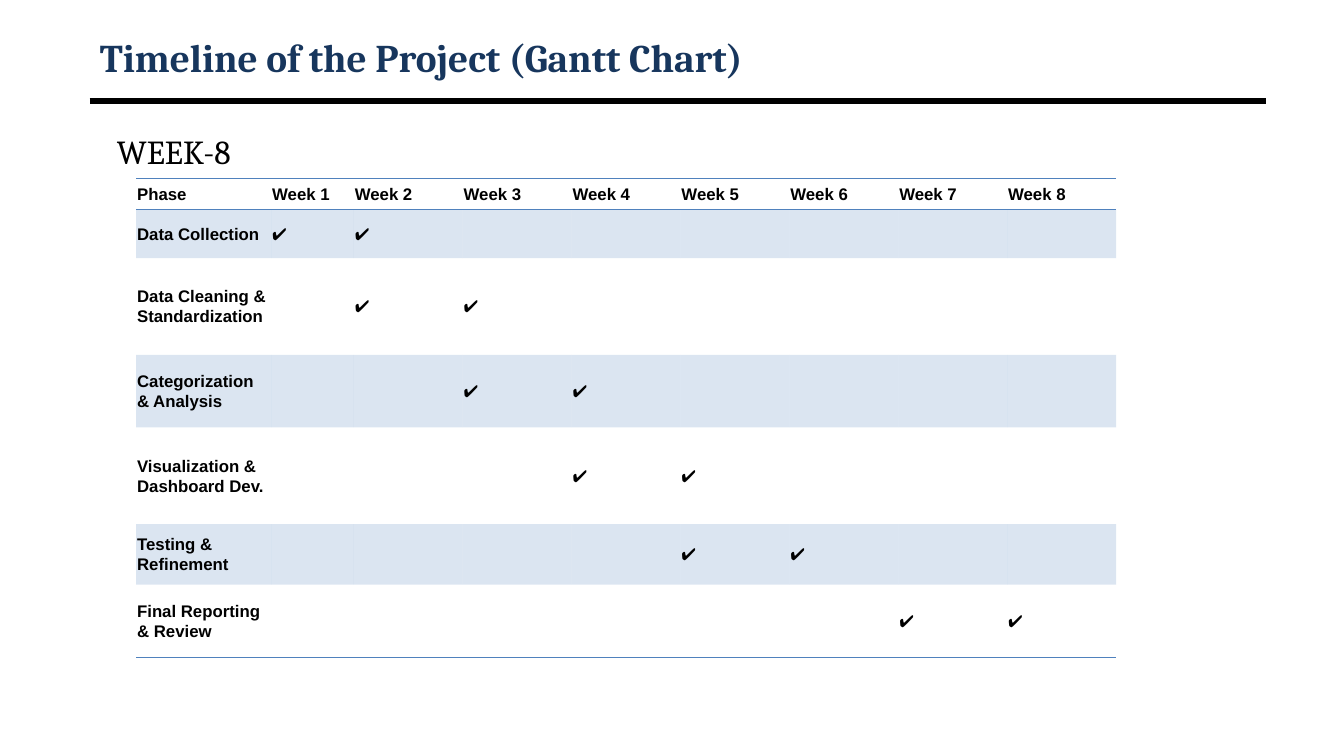
from lxml import etree
from pptx import Presentation
from pptx.dml.color import RGBColor
from pptx.enum.shapes import MSO_CONNECTOR
from pptx.enum.text import MSO_ANCHOR, MSO_AUTO_SIZE, PP_ALIGN
from pptx.oxml.ns import qn
from pptx.util import Pt

PX = 9144  # 100 px to the inch
NAVY = RGBColor(0x17, 0x36, 0x5D)
BLUE = RGBColor(0x4F, 0x81, 0xBD)
BLACK = RGBColor(0, 0, 0)
MIDDLE = MSO_ANCHOR.MIDDLE
LEFT, JUSTIFY = PP_ALIGN.LEFT, PP_ALIGN.JUSTIFY
STRAIGHT = MSO_CONNECTOR.STRAIGHT
NO_FIT = MSO_AUTO_SIZE.NONE
PLAIN = "{2D5ABB26-0587-4C30-8999-92F81FD0307C}"  # no style, no grid


def add_run(par, text, font, size, color, bold=False):
    run = par.add_run()
    run.text = text
    run.font.name = font
    run.font.size = Pt(size)
    run.font.bold = bold
    run.font.color.rgb = color


def add_edge(cell, side):
    props = cell._tc.get_or_add_tcPr()
    edge = etree.SubElement(props, qn("a:" + side), w=str(Pt(1)))
    fill = etree.SubElement(edge, qn("a:solidFill"))
    etree.SubElement(fill, qn("a:srgbClr"), val=str(BLUE))


deck = Presentation()
deck.slide_width, deck.slide_height = 1333 * PX, 750 * PX
slide = deck.slides.add_slide(deck.slide_layouts[1])
title, body = slide.placeholders

# Title and week heading
for box, top, high in ((title, 30, 53), (body, 125, 542)):
    box.left, box.top = 89 * PX, top * PX
    box.width, box.height = 1167 * PX, high * PX
    box.text_frame.auto_size = NO_FIT
title.text_frame.vertical_anchor = MIDDLE
par = title.text_frame.paragraphs[0]
par.alignment = LEFT
add_run(par, "Timeline of the Project (Gantt Chart)", "Cambria", 28, NAVY, True)

par = body.text_frame.paragraphs[0]
par.alignment = JUSTIFY
par.space_before = Pt(0)
props = par._p.get_or_add_pPr()
props.set("marL", str(38 * PX))
props.set("indent", str(-21 * PX))
etree.SubElement(props, qn("a:buNone"))
add_run(par, "WEEK-8", "Cambria", 24, BLACK)

# Rule under the title
rule = slide.shapes.add_connector(STRAIGHT, 89 * PX, 100 * PX, 1256 * PX, 100 * PX)
rule.line.color.rgb = BLACK
rule.line.width = Pt(4.5)
etree.SubElement(rule._element.spPr, qn("a:effectLst"))

# Phases: name, row height, first and last week
PHASES = [
    ("Data Collection", 48, 1, 2),
    ("Data Cleaning & Standardization", 96, 2, 3),
    ("Categorization & Analysis", 72, 3, 4),
    ("Visualization & Dashboard Dev.", 96, 4, 5),
    ("Testing & Refinement", 60, 5, 6),
    ("Final Reporting & Review", 72, 7, 8),
]
WEEKS = range(1, 9)
rows = [["Phase"] + [f"Week {week}" for week in WEEKS]]
for name, high, first, last in PHASES:
    rows.append([name] + ["✔" if first <= week <= last else "" for week in WEEKS])
highs = [31] + [phase[1] for phase in PHASES]
wides = [134, 82] + [108] * 7

# Gantt table
frame = slide.shapes.add_table(len(rows), len(wides), 135 * PX, 177 * PX,
                               sum(wides) * PX, sum(highs) * PX)
table = frame.table
table._tbl.tblPr.find(qn("a:tableStyleId")).text = PLAIN
for col, wide in zip(table.columns, wides):
    col.width = wide * PX
for row, high in zip(table.rows, highs):
    row.height = high * PX

for r, texts in enumerate(rows):
    for c, text in enumerate(texts):
        cell = table.cell(r, c)
        cell.vertical_anchor = MIDDLE
        cell.margin_left = cell.margin_right = PX
        cell.margin_top = cell.margin_bottom = PX
        if r == 0:
            add_edge(cell, "lnT")
        if r in (0, len(rows) - 1):
            add_edge(cell, "lnB")
        if r % 2:
            cell.fill.solid()
            cell.fill.fore_color.rgb = BLUE
            tint = cell._tc.tcPr.find(qn("a:solidFill"))[0]
            etree.SubElement(tint, qn("a:alpha"), val="20000")
        else:
            cell.fill.background()
        if text:
            par = cell.text_frame.paragraphs[0]
            par.line_spacing = 1.07
            par.space_after = Pt(8)
            add_run(par, text, "Arial", 12, BLACK, r == 0 or c == 0)

deck.save("out.pptx")
